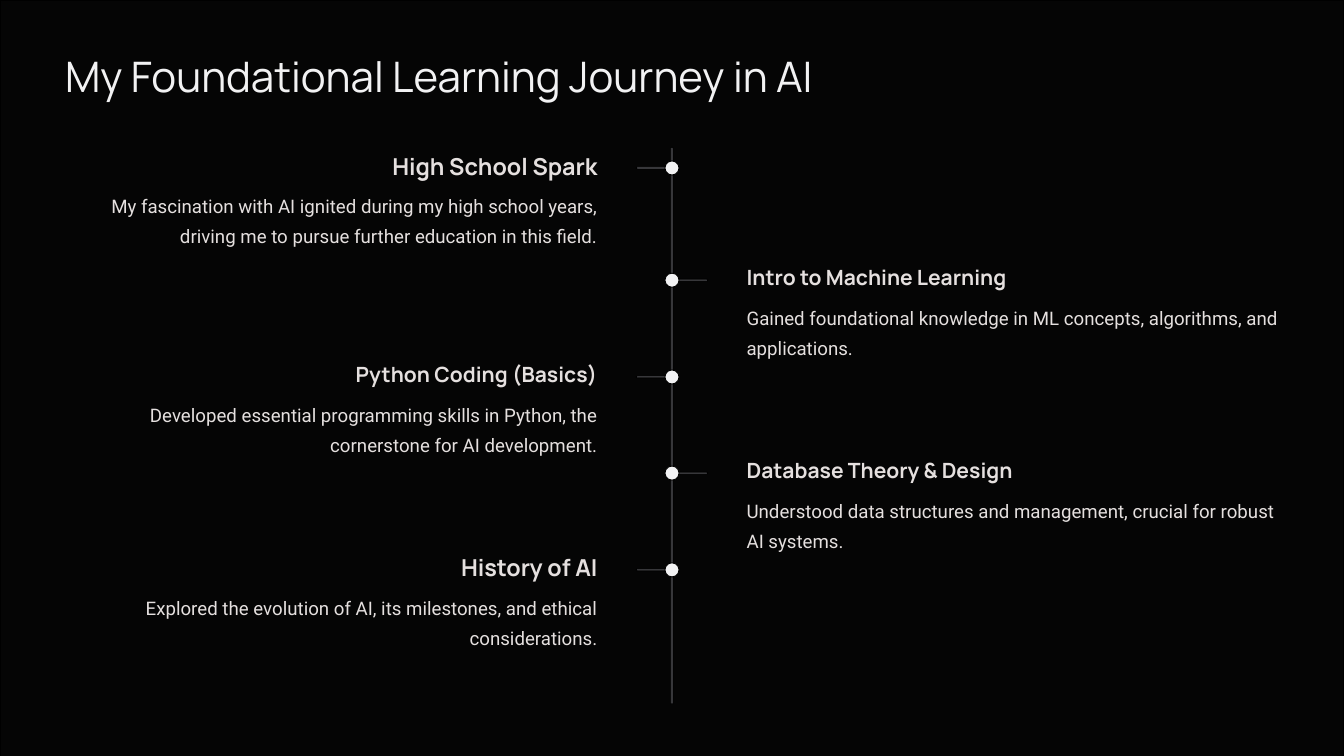
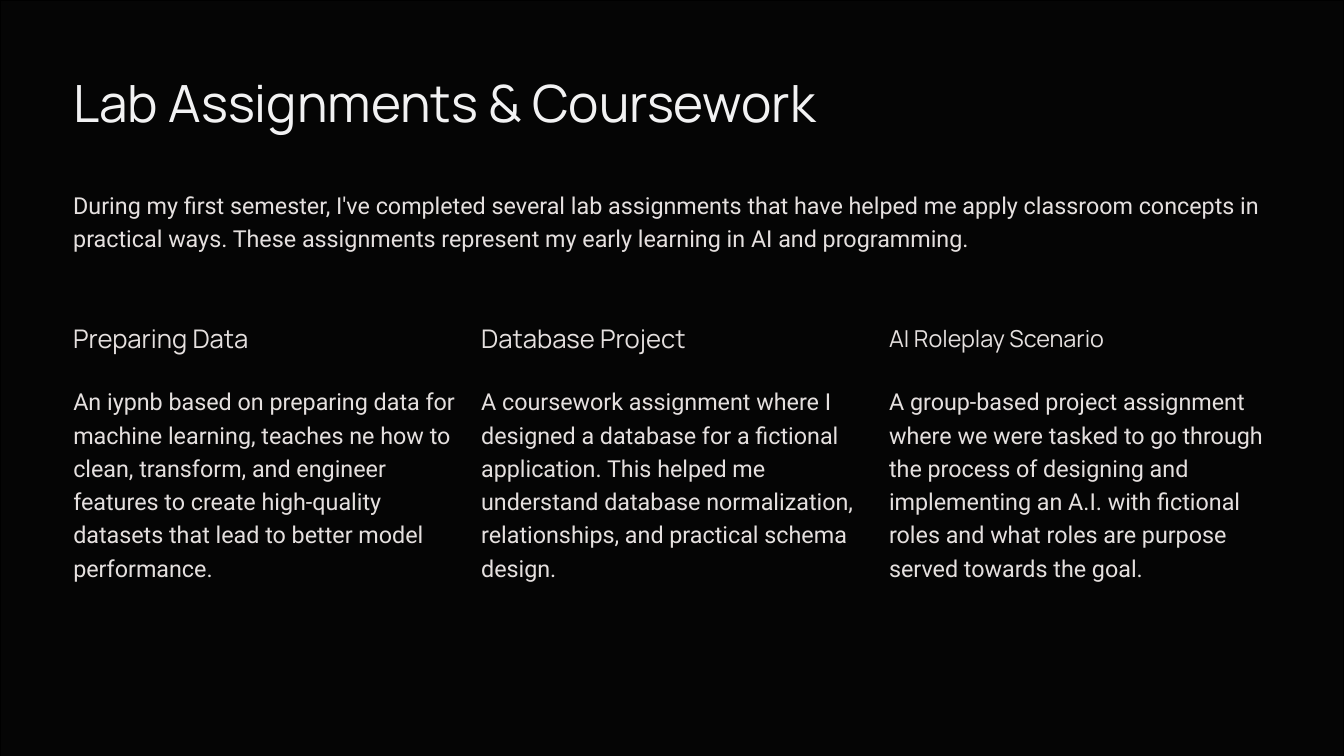
from collections import namedtuple

from pptx import Presentation
from pptx.dml.color import RGBColor
from pptx.enum.shapes import MSO_SHAPE
from pptx.enum.text import MSO_AUTO_SIZE, PP_ALIGN
from pptx.util import Inches, Pt

OVAL, BAR, RECTANGLE = MSO_SHAPE.OVAL, MSO_SHAPE.ROUNDED_RECTANGLE, MSO_SHAPE.RECTANGLE
LEFT, RIGHT = PP_ALIGN.LEFT, PP_ALIGN.RIGHT
GROW = MSO_AUTO_SIZE.SHAPE_TO_FIT_TEXT

SLIDE_WIDTH, SLIDE_HEIGHT = 20, 11.25
BACKDROP = "050505"
OUTLINE = "000000"
BRIGHT = "F2F2F3"
SOFT = "E5E0DF"
GRAY = "56565B"
HEADING_FONT, BODY_FONT = "Manrope", "Roboto"

AXIS = 10
STEM_WIDTH, THICKNESS, DOT_SIZE = 0.56, 0.03, 0.21
BODY_WIDTH, BODY_GAP = 7.92, 1.11

Milestone = namedtuple("Milestone", "center heading heading_width heading_size body")
MILESTONES = [
    Milestone(2.5, "High School Spark", 3.47, 25,
              "My fascination with AI ignited during my high school years, "
              "driving me to pursue further education in this field."),
    Milestone(4.17, "Intro to Machine Learning", 4.35, 22.5,
              "Gained foundational knowledge in ML concepts, algorithms, and applications."),
    Milestone(5.61, "Python Coding (Basics)", 4, 22.5,
              "Developed essential programming skills in Python, the cornerstone "
              "for AI development."),
    Milestone(7.04, "Database Theory & Design", 4.56, 22.5,
              "Understood data structures and management, crucial for robust AI systems."),
    Milestone(8.48, "History of AI", 3.47, 25,
              "Explored the evolution of AI, its milestones, and ethical considerations."),
]

INTRODUCTION = (
    "During my first semester, I've completed several lab assignments that have helped me "
    "apply classroom concepts in practical ways. These assignments represent my early "
    "learning in AI and programming."
)

Assignment = namedtuple("Assignment", "heading heading_box heading_size body body_height")
# heading_box is (top, width, height)
ASSIGNMENTS = [
    Assignment("Preparing Data", (4.78, 4.9, 0.54), 27.5,
               "An iypnb based on preparing data for machine learning, teaches ne how to "
               "clean, transform, and engineer features to create high-quality datasets "
               "that lead to better model performance.", 2.54),
    Assignment("Database Project", (4.78, 5.16, 0.54), 27.5,
               "A coursework assignment where I designed a database for a fictional "
               "application. This helped me understand database normalization, "
               "relationships, and practical schema design.", 3.04),
    Assignment("AI Roleplay Scenario", (4.76, 4.77, 0.56), 25,
               "A group-based project assignment where we were tasked to go through the "
               "process of designing and implementing an A.I. with fictional roles and "
               "what roles are purpose served towards the goal.", 2.54),
]


def color(value):
    return RGBColor.from_string(value)


def add_mark(slide, kind, box, fill):
    shape = slide.shapes.add_shape(kind, *map(Inches, box))
    shape.shadow.inherit = False
    shape.fill.solid()
    shape.fill.fore_color.rgb = color(fill)
    shape.line.color.rgb = color(OUTLINE)
    shape.line.width = Pt(1)
    if kind == BAR:
        shape.adjustments[0] = 0.5


def add_dark_slide(presentation):
    slide = presentation.slides.add_slide(presentation.slide_layouts[6])
    add_mark(slide, RECTANGLE, (0, 0, SLIDE_WIDTH, SLIDE_HEIGHT), BACKDROP)
    return slide


def add_text(slide, box, text, size, spacing, font=BODY_FONT, ink=SOFT,
             bold=False, align=LEFT):
    """Add unpadded text in box (left, top, width, height); spacing is in points."""
    frame = slide.shapes.add_textbox(*map(Inches, box)).text_frame
    frame.margin_left = frame.margin_top = frame.margin_right = frame.margin_bottom = 0
    frame.word_wrap = True
    frame.auto_size = GROW
    paragraph = frame.paragraphs[0]
    paragraph.text = text
    paragraph.alignment = align
    paragraph.line_spacing = Pt(spacing)
    paragraph.font.name = font
    paragraph.font.size = Pt(size)
    paragraph.font.bold = bold
    paragraph.font.color.rgb = color(ink)


def add_title(slide, box, text, size, spacing):
    add_text(slide, box, text, size, spacing, HEADING_FONT, BRIGHT)


def add_milestone(slide, milestone, on_left):
    """Place stem, dot and text on one side of the axis."""
    center = milestone.center
    stem_left = AXIS + THICKNESS - STEM_WIDTH if on_left else AXIS - THICKNESS
    add_mark(slide, BAR, (stem_left, center - THICKNESS / 2, STEM_WIDTH, THICKNESS), GRAY)
    radius = DOT_SIZE / 2
    add_mark(slide, OVAL, (AXIS - radius, center - radius, DOT_SIZE, DOT_SIZE), BRIGHT)

    large = milestone.heading_size == 25
    offset, height = (0.26, 0.48) if large else (0.29, 0.51)

    def text_left(width):
        return AXIS - BODY_GAP - width if on_left else AXIS + BODY_GAP

    align = RIGHT if on_left else LEFT
    width = milestone.heading_width
    add_text(slide, (text_left(width), center - offset, width, height), milestone.heading,
             milestone.heading_size, 31.2, HEADING_FONT, bold=True, align=align)
    add_text(slide, (text_left(BODY_WIDTH), center + 0.29, BODY_WIDTH, 0.98),
             milestone.body, 20, 31.9, align=align)


def build_timeline(presentation):
    slide = add_dark_slide(presentation)
    add_title(slide, (0.97, 0.63, 13.33, 1), "My Foundational Learning Journey in AI", 45, 62.5)
    add_mark(slide, BAR, (AXIS - THICKNESS / 2, 2.19, THICKNESS, 8.29), GRAY)
    for index, milestone in enumerate(MILESTONES):
        add_milestone(slide, milestone, on_left=index % 2 == 0)


def add_assignment(slide, left, assignment):
    add_text(slide, (left, *assignment.heading_box), assignment.heading,
             assignment.heading_size, 34.4, HEADING_FONT)
    add_text(slide, (left, 5.69, 5.68, assignment.body_height), assignment.body, 25, 35.6)


def build_coursework(presentation):
    slide = add_dark_slide(presentation)
    left, column_step = 1.09, 6.07
    add_title(slide, (left, 1.01, 12.02, 1.06), "Lab Assignments & Coursework", 55, 69.4)
    add_text(slide, (left, 2.76, 17.83, 1.05), INTRODUCTION, 25, 35.6)
    for index, assignment in enumerate(ASSIGNMENTS):
        add_assignment(slide, left + index * column_step, assignment)


def main():
    presentation = Presentation()
    presentation.slide_width = Inches(SLIDE_WIDTH)
    presentation.slide_height = Inches(SLIDE_HEIGHT)
    build_timeline(presentation)
    build_coursework(presentation)
    presentation.save("out.pptx")


if __name__ == "__main__":
    main()
